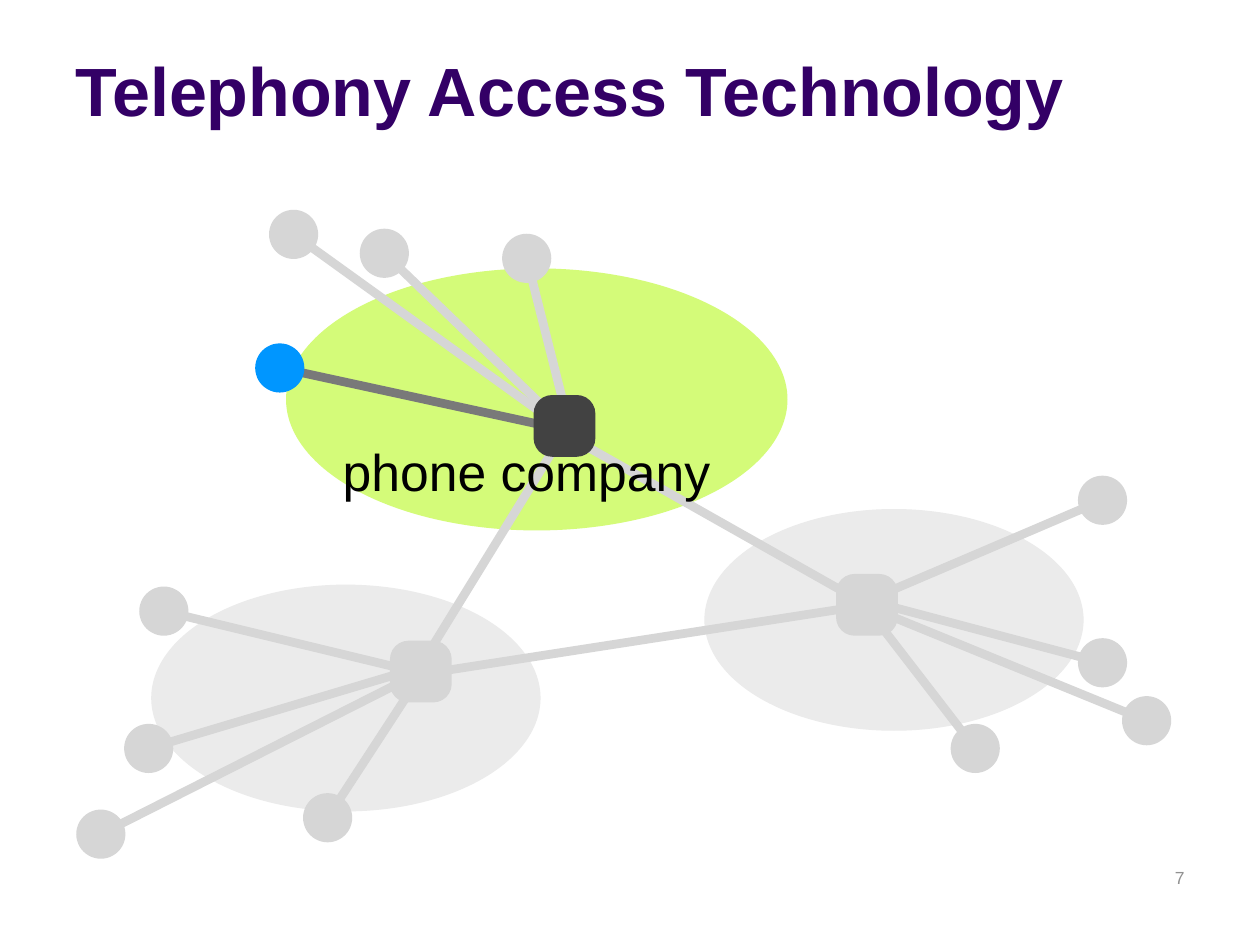
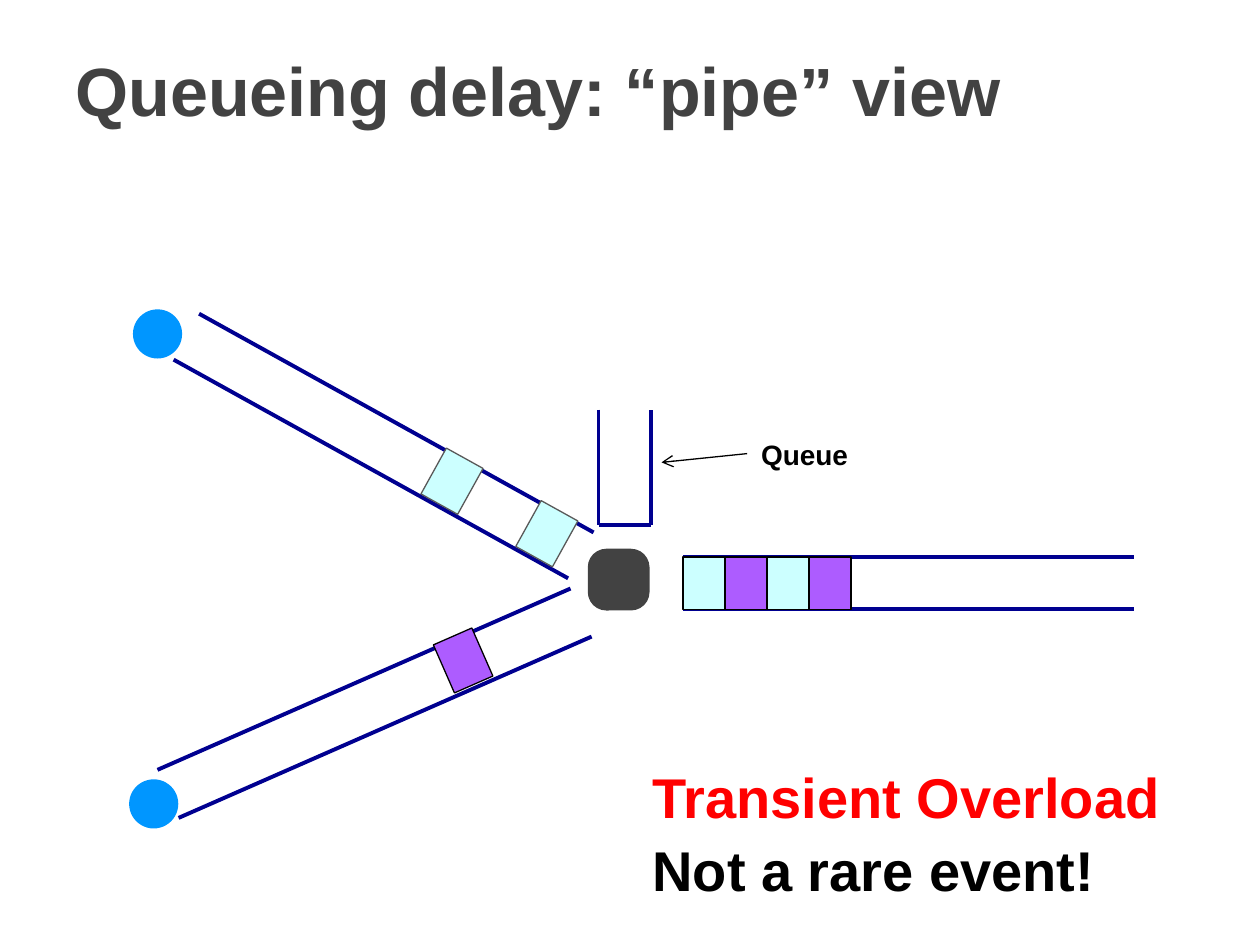
from math import cos, radians, sin

from pptx import Presentation
from pptx.dml.color import RGBColor
from pptx.enum.shapes import MSO_CONNECTOR, MSO_SHAPE
from pptx.enum.text import MSO_ANCHOR as Anchor, MSO_AUTO_SIZE as AutoSize, PP_ALIGN as Align
from pptx.oxml.ns import qn
from pptx.util import Inches, Pt
from lxml.etree import SubElement

FONT = "Arial"
BLACK, RED, PURPLE = "000000", "FF0000", "330066"
DARK, MID, PALE, FAINT = "424242", "797979", "D6D6D6", "EBEBEB"
PAGE_GREY, EDGE_GREY = "919191", "595959"
BLUE, NAVY, LIME = "0096FF", "000090", "D4FB79"
CYAN, VIOLET = "CCFFFF", "AD5CFF"
PHONE_SIZE, SWITCH_SIZE = 0.39, 0.49
PIPE_LENGTH, PIPE_WIDTH, PACKET_LENGTH = 3.58, 5 / 12, 1 / 3

REGIONS = [
    (2.27, 2.13, 3.98, 2.08, LIME),
    (5.59, 4.04, 3.01, 1.76, FAINT),
    (1.2, 4.64, 3.09, 1.8, FAINT),
]
SWITCHES = [(4.48, 3.38, DARK), (3.34, 5.33, PALE), (6.88, 4.8, PALE)]
PHONES = [
    ((2.22, 2.92), (4.43, 3.4), BLUE, MID),
    ((4.18, 2.05), (4.53, 3.43), PALE, PALE),
    ((2.33, 1.86), (4.4, 3.35), PALE, PALE),
    ((3.05, 2.01), (4.43, 3.34), PALE, PALE),
    ((1.3, 4.85), (3.29, 5.33), PALE, PALE),
    ((1.18, 5.94), (3.29, 5.31), PALE, PALE),
    ((0.8, 6.62), (3.27, 5.37), PALE, PALE),
    ((2.6, 6.49), (3.33, 5.37), PALE, PALE),
    ((8.75, 3.97), (6.83, 4.79), PALE, PALE),
    ((8.75, 5.26), (6.9, 4.77), PALE, PALE),
    ((9.1, 5.72), (6.85, 4.8), PALE, PALE),
    ((7.74, 5.94), (6.9, 4.85), PALE, PALE),
]
TRUNKS = [
    ((4.42, 3.41), (6.88, 4.8)),
    ((4.49, 3.41), (3.34, 5.28)),
    ((6.9, 4.8), (3.35, 5.35)),
]

PIPES = [
    {"start": (1.58, 2.49), "angle": 29, "depth": 0.19, "edge": EDGE_GREY,
     "packets": [(3.26, CYAN), (2.4, CYAN)]},
    {"start": (1.25, 6.11), "angle": -23.7, "depth": 0.18, "edge": BLACK,
     "packets": [(2.57, VIOLET)]},
    {"start": (5.42, 4.42), "angle": 0, "depth": PIPE_WIDTH / 2, "edge": BLACK,
     "packets": [((place + 0.5) * PACKET_LENGTH, color)
                 for place, color in enumerate([CYAN, VIOLET] * 2)]},
]
QUEUE = [(4.75, 3.25), (4.75, 4.17), (5.17, 4.17), (5.17, 3.25)]
SENDERS = [(1.25, 2.65), (1.22, 6.38)]
ROUTER = (4.91, 4.6)
MESSAGES = [("Transient Overload", RED, 6), ("Not a rare event!", BLACK, 6.58)]


def rgb(color):
    return RGBColor.from_string(color)


def write(frame, text, size, color, bold=False, align=Align.LEFT):
    paragraph = frame.paragraphs[0]
    paragraph.alignment = align
    run = paragraph.add_run()
    run.text = text
    run.font.name, run.font.size, run.font.bold = FONT, Pt(size), bold
    run.font.color.rgb = rgb(color)


def add_titled_slide(presentation, text, color):
    slide = presentation.slides.add_slide(presentation.slide_layouts[5])
    title = slide.shapes.title
    title.left, title.top, title.width, title.height = map(Inches, (0.5, 0.13, 9.5, 0.95))
    frame = title.text_frame
    frame.auto_size, frame.vertical_anchor = AutoSize.NONE, Anchor.BOTTOM
    write(frame, text, 39, color, True)
    return slide


def add_label(slide, box, text, size, color, bold=False, align=Align.LEFT,
              wrap=True, inset=None, anchor=Anchor.TOP):
    frame = slide.shapes.add_textbox(*map(Inches, box)).text_frame
    frame.word_wrap, frame.vertical_anchor = wrap, anchor
    if inset is not None:
        frame.margin_left = frame.margin_right = Inches(inset)
        frame.margin_top = frame.margin_bottom = Inches(inset)
    write(frame, text, size, color, bold, align)


def add_figure(slide, kind, center, size, fill, edge=None):
    x, y = center
    width, height = size
    shape = slide.shapes.add_shape(
        kind, *map(Inches, (x - width / 2, y - height / 2, width, height)))
    shape.shadow.inherit = False
    shape.fill.solid()
    shape.fill.fore_color.rgb = rgb(fill)
    if edge:
        shape.line.color.rgb = rgb(edge)
        shape.line.width = Pt(0.75)
    else:
        shape.line.fill.background()
    return shape


def add_phone(slide, center, color):
    add_figure(slide, MSO_SHAPE.OVAL, center, (PHONE_SIZE, PHONE_SIZE), color)


def add_switch(slide, center, color):
    switch = add_figure(slide, MSO_SHAPE.ROUNDED_RECTANGLE, center,
                        (SWITCH_SIZE, SWITCH_SIZE), color)
    switch.adjustments[0] = 0.3


def add_line(slide, start, end, color, width, arrow=False):
    connector = slide.shapes.add_connector(
        MSO_CONNECTOR.STRAIGHT, *map(Inches, (*start, *end)))
    connector.line.color.rgb = rgb(color)
    connector.line.width = Pt(width)
    properties = connector.element.spPr
    if arrow:
        SubElement(properties.find(qn("a:ln")), qn("a:tailEnd"), type="arrow")
    SubElement(properties, qn("a:effectLst"))


def add_pipe(slide, pipe):
    x, y = pipe["start"]
    turn = radians(pipe["angle"])

    def locate(along, across):
        return (x + along * cos(turn) - across * sin(turn),
                y + along * sin(turn) + across * cos(turn))

    for wall in (0, PIPE_WIDTH):
        add_line(slide, locate(0, wall), locate(PIPE_LENGTH, wall), NAVY, 2.25)
    for along, color in pipe["packets"]:
        packet = add_figure(slide, MSO_SHAPE.RECTANGLE, locate(along, pipe["depth"]),
                            (PACKET_LENGTH, PIPE_WIDTH), color, pipe["edge"])
        packet.rotation = pipe["angle"]


def build_telephony(presentation):
    slide = add_titled_slide(presentation, "Telephony Access Technology", PURPLE)
    for left, top, width, height, color in REGIONS:
        add_figure(slide, MSO_SHAPE.OVAL, (left + width / 2, top + height / 2),
                   (width, height), color)
    for phone, end, _, link_color in PHONES:
        add_line(slide, phone, end, link_color, 5)
    for start, end in TRUNKS:
        add_line(slide, start, end, PALE, 5)
    for phone, _, color, _ in PHONES:
        add_phone(slide, phone, color)
    for x, y, color in SWITCHES:
        add_switch(slide, (x, y), color)
    add_label(slide, (2.68, 3.45, 3.19, 0.57), "phone company", 29.5, BLACK,
              inset=0.04, anchor=Anchor.MIDDLE)
    add_label(slide, (7.17, 6.83, 2.33, 0.5), "7", 10, PAGE_GREY, align=Align.RIGHT)


def build_queueing(presentation):
    slide = add_titled_slide(presentation, "Queueing delay: “pipe” view", DARK)
    for pipe in PIPES:
        add_pipe(slide, pipe)
    for start, end in zip(QUEUE, QUEUE[1:]):
        add_line(slide, start, end, NAVY, 2.25)
    add_label(slide, (5.93, 3.42, 0.9, 0.37), "Queue", 16, BLACK, True, Align.RIGHT, wrap=False)
    add_line(slide, (5.93, 3.6), (5.25, 3.67), BLACK, 0.75, arrow=True)
    for sender in SENDERS:
        add_phone(slide, sender, BLUE)
    add_switch(slide, ROUTER, DARK)
    for text, color, top in MESSAGES:
        add_label(slide, (5.08, top, 4.67, 0.64), text, 32, color, True)


def main():
    presentation = Presentation()
    presentation.slide_width, presentation.slide_height = Inches(10), Inches(7.5)
    build_telephony(presentation)
    build_queueing(presentation)
    presentation.save("out.pptx")


if __name__ == "__main__":
    main()
